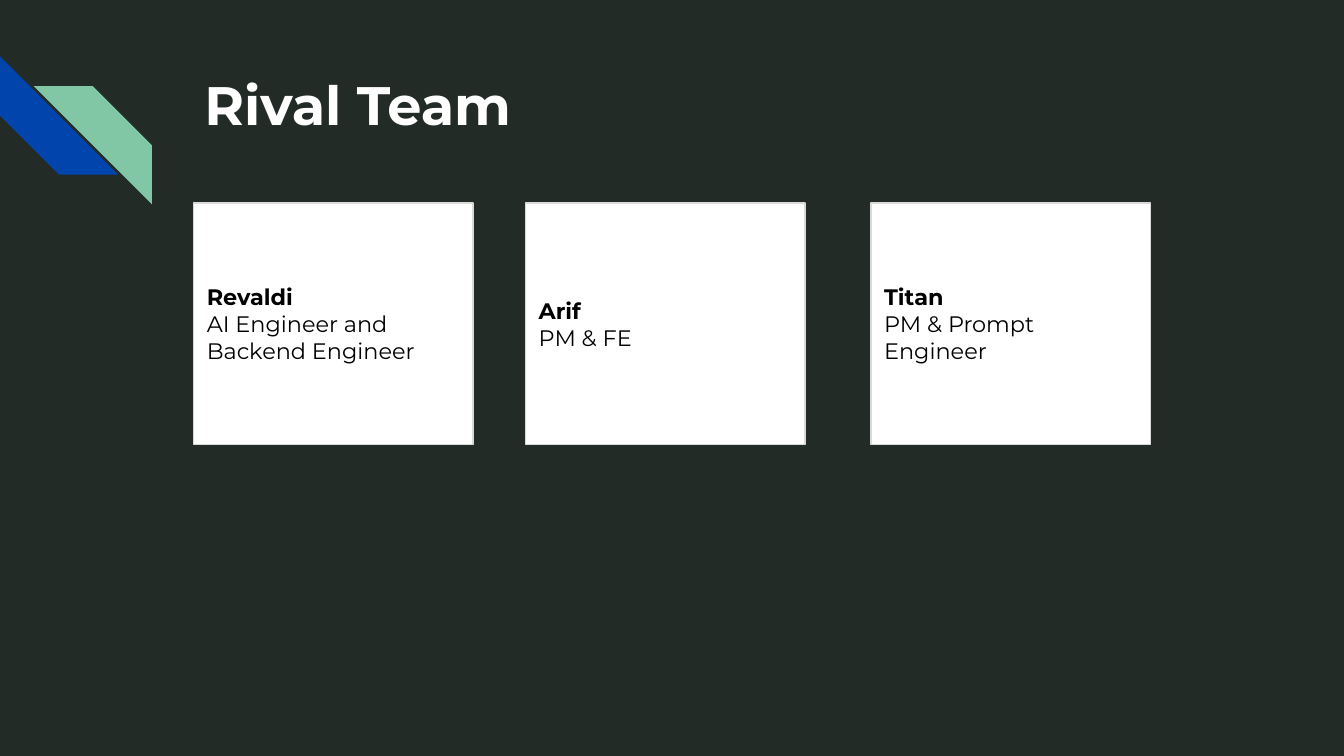
from dataclasses import dataclass

from pptx import Presentation
from pptx.dml.color import RGBColor
from pptx.enum.shapes import MSO_SHAPE
from pptx.enum.text import MSO_ANCHOR, MSO_AUTO_SIZE, PP_ALIGN
from pptx.util import Inches, Pt

RECT, STRIPE = MSO_SHAPE.RECTANGLE, MSO_SHAPE.DIAGONAL_STRIPE
TOP, MIDDLE = MSO_ANCHOR.TOP, MSO_ANCHOR.MIDDLE
LEFT = PP_ALIGN.LEFT
FIXED = MSO_AUTO_SIZE.NONE
TITLE_ONLY = 5


@dataclass(frozen=True)
class Theme:
    back: str = "222B26"
    blue: str = "0145AC"
    green: str = "82C7A5"
    card: str = "FFFFFF"
    edge: str = "D9D9D9"
    light: str = "FFFFFF"
    dark: str = "000000"
    font: str = "Montserrat"
    head: float = 29
    body: float = 12
    rule: float = 0.75
    pad: float = 0.1


THEME = Theme()
WIDE = 10
HIGH = WIDE * 9 / 16

# Each card: left edge in inches, name, role
TEAM = [
    (1.44, "Revaldi", "AI Engineer and Backend Engineer"),
    (3.91, "Arif", "PM & FE"),
    (6.48, "Titan", "PM & Prompt Engineer"),
]


def paint(fill, tone):
    fill.solid()
    fill.fore_color.rgb = RGBColor.from_string(tone)


def add_box(slide, kind, box, tone):
    shape = slide.shapes.add_shape(kind, *map(Inches, box))
    shape.shadow.inherit = False
    paint(shape.fill, tone)
    shape.line.fill.background()
    return shape


def set_text(frame, lines, size, tone, anchor):
    """Write lines flush left, with the first one in bold."""
    frame.text = "\n".join(lines)
    frame.word_wrap = True
    frame.auto_size = FIXED
    frame.vertical_anchor = anchor
    frame.margin_left = frame.margin_right = Inches(THEME.pad)
    frame.margin_top = frame.margin_bottom = Inches(THEME.pad)
    for row, para in enumerate(frame.paragraphs):
        para.alignment = LEFT
        for run in para.runs:
            font = run.font
            font.name, font.size, font.bold = THEME.font, Pt(size), row == 0
            font.color.rgb = RGBColor.from_string(tone)


def add_stripes(slide, box):
    """Two diagonal bands, offset by a quarter of their size."""
    left, top, size = box
    blue = add_box(slide, STRIPE, (left, top, size, size), THEME.blue)
    blue.rotation = 270
    step = size / 4
    place = (left + step + 0.03, top + step, size, size)
    green = add_box(slide, STRIPE, place, THEME.green)
    green._element.spPr.xfrm.set("flipH", "1")


def add_title(slide, box, text):
    title = slide.shapes.title
    title.left, title.top, title.width, title.height = map(Inches, box)
    set_text(title.text_frame, [text], THEME.head, THEME.light, TOP)


def add_card(slide, box, name, role):
    card = add_box(slide, RECT, box, THEME.card)
    paint(card.line.fill, THEME.edge)
    card.line.width = Pt(THEME.rule)
    set_text(card.text_frame, [name, role], THEME.body, THEME.dark, MIDDLE)


def add_team(slide, box, team):
    top, width, height = box
    for left, name, role in team:
        add_card(slide, (left, top, width, height), name, role)


def main():
    deck = Presentation()
    deck.slide_width, deck.slide_height = Inches(WIDE), Inches(HIGH)
    slide = deck.slides.add_slide(deck.slide_layouts[TITLE_ONLY])
    paint(slide.background.fill, THEME.back)

    # Corner mark, heading, then the row of cards
    add_stripes(slide, (0, 0.42, 0.88))
    add_title(slide, (1.42, 0.43, 0.77 * WIDE, 1), "Rival Team")
    add_team(slide, (1.51, 2.08, 0.32 * HIGH), TEAM)

    deck.save("out.pptx")


if __name__ == "__main__":
    main()
